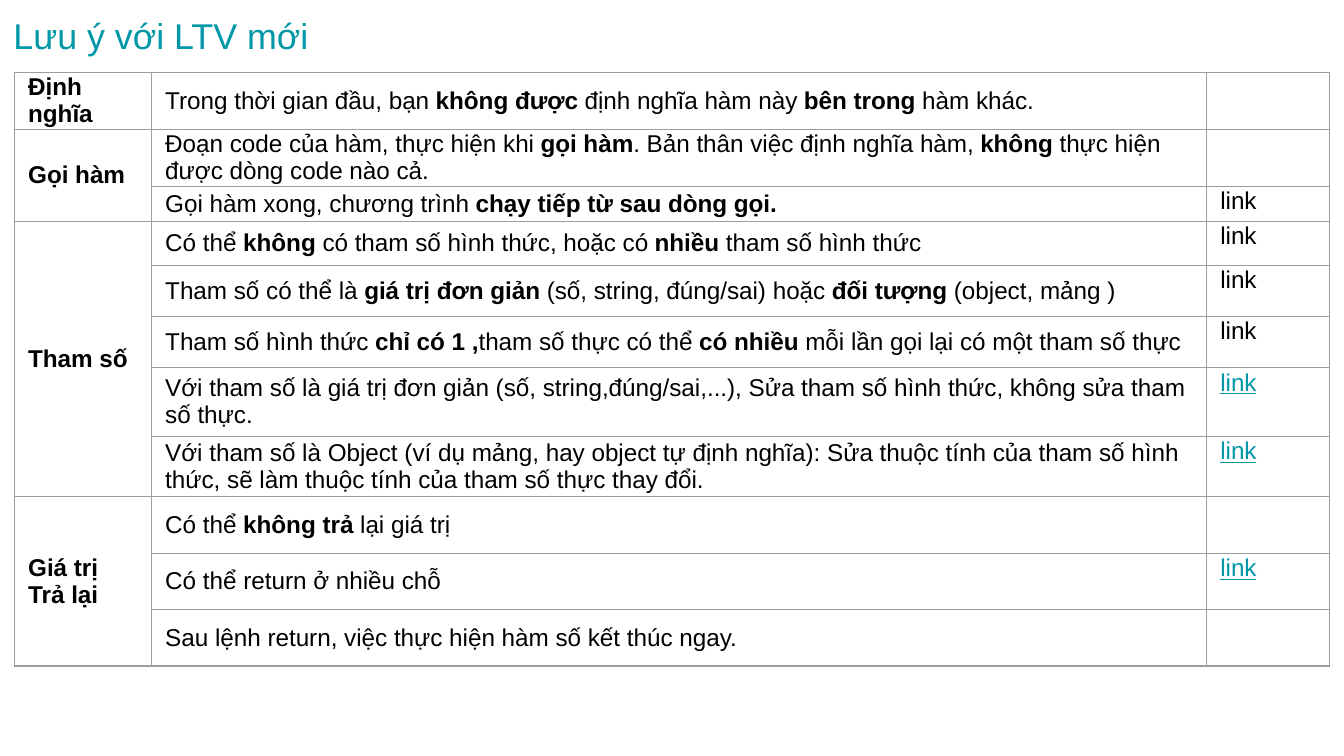
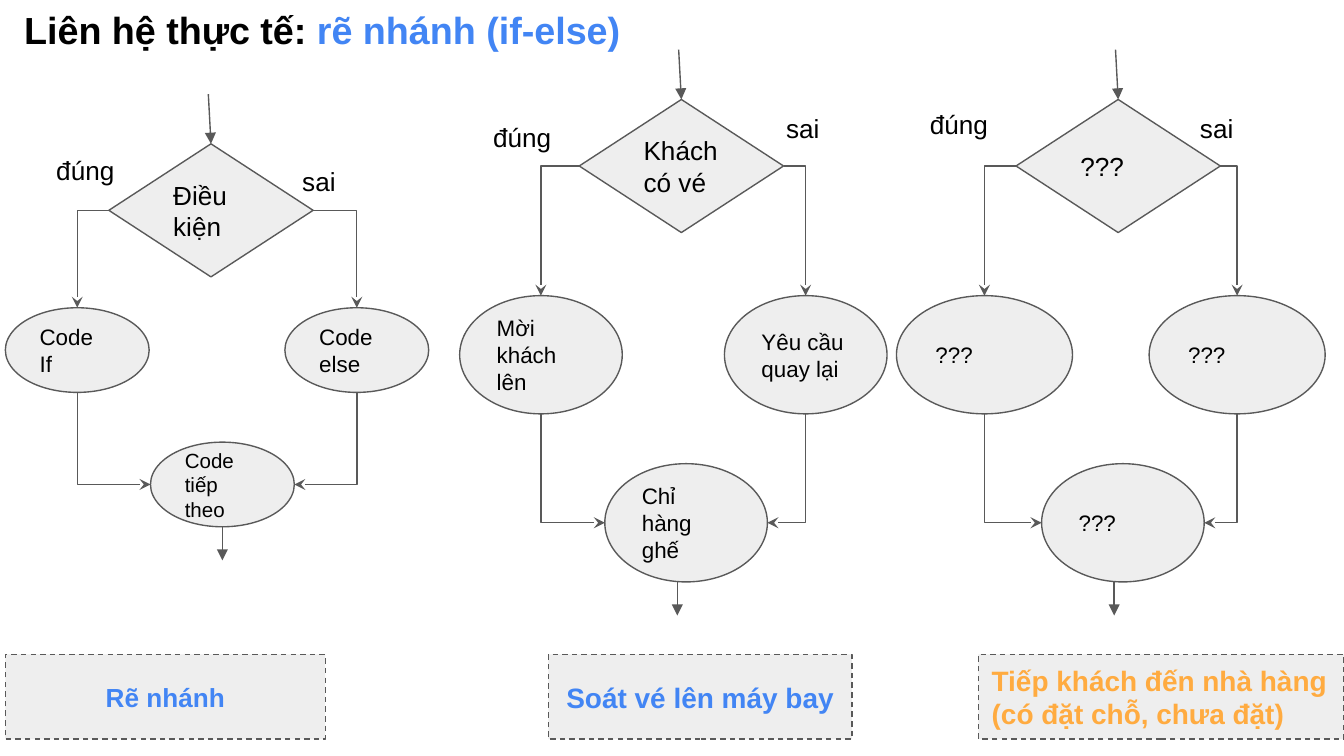
from lxml import etree
from pptx import Presentation
from pptx.dml.color import RGBColor
from pptx.enum.dml import MSO_LINE
from pptx.enum.shapes import MSO_CONNECTOR, MSO_SHAPE
from pptx.enum.text import MSO_ANCHOR, MSO_AUTO_SIZE, PP_ALIGN
from pptx.oxml.ns import qn
from pptx.util import Inches, Pt

DIAMOND, ELLIPSE, RECT = MSO_SHAPE.FLOWCHART_DECISION, MSO_SHAPE.OVAL, MSO_SHAPE.RECTANGLE
STRAIGHT, ELBOW = MSO_CONNECTOR.STRAIGHT, MSO_CONNECTOR.ELBOW
TOP, MIDDLE = MSO_ANCHOR.TOP, MSO_ANCHOR.MIDDLE
LEFT, CENTER = PP_ALIGN.LEFT, PP_ALIGN.CENTER
DASH = MSO_LINE.DASH
NO_FIT, GROW = MSO_AUTO_SIZE.NONE, MSO_AUTO_SIZE.SHAPE_TO_FIT_TEXT

PAGE_WIDTH = Inches(10)
PAGE_HEIGHT = PAGE_WIDTH * 9 // 16
FONT = "Arial"
BLACK, TEAL, BLUE, ORANGE = "000000", "0097A7", "4285F4", "FFAB40"
PALE, DARK, GRID = "EEEEEE", "595959", "9E9E9E"

COLUMNS = [1.02, 7.85, 0.91]
ROW_HEIGHTS = [0.36, 0.26, 0.26, 0.33, 0.38, 0.38, 0.51, 0.45, 0.42, 0.42, 0.42]
TOPICS = [("Định nghĩa", 1), ("Gọi hàm", 2), ("Tham số", 5), ("Giá trị Trả lại", 3)]
NOTES = [
    ("Trong thời gian đầu, bạn **không được **định nghĩa hàm này **bên trong** hàm khác.", None),
    ("Đoạn code của hàm, thực hiện khi **gọi hàm**. Bản thân việc định nghĩa hàm, "
     "**không** thực hiện được dòng code nào cả.", None),
    ("Gọi hàm xong, chương trình **chạy tiếp từ sau dòng gọi.**", BLACK),
    ("Có thể **không **có tham số hình thức, hoặc có **nhiều** tham số hình thức", BLACK),
    ("Tham số có thể là **giá trị đơn giản** (số, string, đúng/sai) hoặc "
     "**đối tượng** (object, mảng )", BLACK),
    ("Tham số hình thức **chỉ có 1 ,**tham số thực có thể **có nhiều **"
     "mỗi lần gọi lại có một tham số thực", BLACK),
    ("Với tham số là giá trị đơn giản (số, string,đúng/sai,...), "
     "Sửa tham số hình thức, không sửa tham số thực.", TEAL),
    ("Với tham số là Object (ví dụ mảng, hay object tự định nghĩa): Sửa thuộc tính của "
     "tham số hình thức, sẽ làm thuộc tính của tham số thực thay đổi.", TEAL),
    ("Có thể **không trả** lại giá trị", None),
    ("Có thể return ở nhiều chỗ", TEAL),
    ("Sau lệnh return, việc thực hiện hàm số kết thúc ngay.", None),
]

FLOWS = [
    {"box": (0.04, 1.07), "diamond": 0.77, "branch": (1.07, 0.63), "join": (1.07, 0.63),
     "right": 2.08, "branch_top": 1.22, "join_top": 2.22, "join_size": 11,
     "yes": (0.28, -0.02), "no": (2.11, 0.06),
     "texts": ["Điều kiện", "Code  If", "Code else", "Code tiếp theo"]},
    {"box": (3.42, 0.74), "diamond": 0.89, "branch": (1.21, 0.88), "join": (1.21, 0.88),
     "right": 1.97, "branch_top": 1.46, "join_top": 2.71, "join_size": 12,
     "yes": (0.15, 0.06), "no": (2.33, 0),
     "texts": ["Khách có vé", "Mời khách lên", "Yêu cầu quay lại", "Chỉ hàng ghế"]},
    {"box": (6.67, 0.74), "diamond": 0.89, "branch": (1.31, 0.88), "join": (1.21, 0.88),
     "right": 1.88, "branch_top": 1.46, "join_top": 2.71, "join_size": 12,
     "yes": (0.15, -0.03), "no": (2.16, 0),
     "texts": ["???"] * 4},
]
CAPTIONS = [
    (0.04, 2.38, "Rẽ nhánh", 14, BLUE, CENTER),
    (4.08, 2.26, "Soát vé lên máy bay", 15, BLUE, CENTER),
    (7.28, 2.72, "Tiếp khách đến nhà hàng (có đặt chỗ, chưa đặt)", 15, ORANGE, LEFT),
]


def rgb(value):
    """Turn a hex string into a colour."""
    return RGBColor.from_string(value)


def apply(target, formats):
    """Set each attribute named in formats on the target."""
    for name, value in formats.items():
        setattr(target, name, value)


def add_span(para, text, size, color=BLACK, bold=False, underline=False):
    """Append one formatted run to a paragraph."""
    span = para.add_run()
    span.text = text
    apply(span.font, {"name": FONT, "size": Pt(size), "bold": bold, "underline": underline})
    span.font.color.rgb = rgb(color)


def set_frame(frame, anchor=TOP, fit=NO_FIT, inset=0.1):
    """Format a text frame and return its first paragraph."""
    sides = ("left", "top", "right", "bottom")
    apply(frame, {f"margin_{side}": Inches(inset) for side in sides})
    apply(frame, {"word_wrap": True, "vertical_anchor": anchor, "auto_size": fit})
    para = frame.paragraphs[0]
    para.alignment = LEFT
    return para


def add_page(deck, box, size, spans, bold):
    """Add a title-only page whose title is made of coloured spans."""
    page = deck.slides.add_slide(deck.slide_layouts[5])
    title = page.shapes.title
    apply(title, dict(zip(("left", "top", "width", "height"), map(Inches, box))))
    para = set_frame(title.text_frame)
    for text, color in spans:
        add_span(para, text, size, color, bold)
    return page


def add_node(page, kind, box, text, size, color=BLACK, bold=False, align=LEFT, dash=None):
    """Add a pale outlined shape with text."""
    node = page.shapes.add_shape(kind, *map(Inches, box))
    node.shadow.inherit = False
    node.fill.solid()
    node.fill.fore_color.rgb = rgb(PALE)
    node.line.color.rgb = rgb(DARK)
    apply(node.line, {"width": Pt(0.75), "dash_style": dash})
    para = set_frame(node.text_frame, MIDDLE)
    para.alignment = align
    add_span(para, text, size, color, bold)
    return node


def add_label(page, left, top, text):
    """Add a branch label."""
    label = page.shapes.add_textbox(*map(Inches, (left, top, 0.71, 0.44)))
    add_span(set_frame(label.text_frame, fit=GROW), text, 14)


def add_arrow(page, kind, begin, end, head):
    """Add a connector ending in an arrowhead, from points in EMU."""
    arrow = page.shapes.add_connector(kind, *begin, *end)
    arrow.line.color.rgb = rgb(DARK)
    arrow.line.width = Pt(0.75)
    etree.SubElement(arrow.line._get_or_add_ln(), qn("a:tailEnd"), type=head)
    etree.SubElement(arrow.element.spPr, qn("a:effectLst"))
    return arrow


def add_corner(page, begin, end, down_first=False):
    """Add a one-corner arrow that leaves sideways or downwards."""
    arrow = add_arrow(page, ELBOW, begin, end, "stealth")
    properties = arrow.element.spPr
    properties.find(qn("a:prstGeom")).set("prst", "bentConnector2")
    if down_first:
        width, height = arrow.width, arrow.height
        shift = (width - height) // 2
        apply(arrow, {"left": arrow.left + shift, "top": arrow.top - shift,
                      "width": height, "height": width})
        rightward = end[0] > begin[0]
        frame = properties.find(qn("a:xfrm"))
        frame.set("rot", str((270 if rightward else 90) * 60000))
        frame.set("flipH", "1" if rightward else "0")


def side(node, index):
    """Give the middle of a side: 0 top, 1 left, 2 bottom, 3 right."""
    across, down = [(1, 0), (0, 1), (1, 2), (2, 1)][index]
    return node.left + node.width * across // 2, node.top + node.height * down // 2


def add_flow(page, flow):
    """Draw one if-else flowchart relative to its box."""
    left, top = flow["box"]
    texts = flow["texts"]
    test = add_node(page, DIAMOND, (left + flow["diamond"], top, 1.52, 0.99), texts[0], 14)
    branches = [add_node(page, ELLIPSE, (left + x, top + flow["branch_top"], *flow["branch"]),
                         text, 12)
                for x, text in zip((0, flow["right"]), texts[1:3])]
    join = add_node(page, ELLIPSE, (left + 1.08, top + flow["join_top"], *flow["join"]),
                    texts[3], flow["join_size"])
    for branch, index in zip(branches, (1, 3)):
        add_corner(page, side(test, index), side(branch, 0))
        add_corner(page, side(branch, 2), side(join, index), down_first=True)
    for key, text in (("yes", "đúng"), ("no", "sai")):
        add_label(page, left + flow[key][0], top + flow[key][1], text)
    x, y = side(test, 0)
    entry = add_arrow(page, STRAIGHT, (x - Inches(0.02), y - Inches(0.37)), (x, y), "triangle")
    entry.end_connect(test, 0)
    middle, bottom = side(join, 2)
    x = Inches(left + 1.62)
    leave = add_arrow(page, STRAIGHT, (x, bottom), (x, bottom + Inches(0.25)), "triangle")
    if abs(x - middle) < Inches(0.02):
        leave.begin_connect(join, 2)
        leave.end_x = middle


def format_cell(cell):
    """Give a cell its margins, thin grid borders and no fill."""
    apply(cell, {"margin_left": Inches(0.1), "margin_right": Inches(0.1),
                 "margin_top": Inches(0.01), "margin_bottom": Inches(0.01),
                 "vertical_anchor": MIDDLE})
    properties = cell._tc.get_or_add_tcPr()
    for edge in ("lnL", "lnR", "lnT", "lnB"):
        border = etree.SubElement(properties, qn(f"a:{edge}"), w=str(Pt(0.75)))
        fill = etree.SubElement(border, qn("a:solidFill"))
        etree.SubElement(fill, qn("a:srgbClr"), val=GRID)
    cell.fill.background()


def add_notes_table(page, left, top):
    """Add the table of notes with merged topics and a link column."""
    frame = page.shapes.add_table(len(NOTES), len(COLUMNS), *map(
        Inches, (left, top, sum(COLUMNS), sum(ROW_HEIGHTS))))
    table = frame.table
    apply(table, {"first_row": False, "horz_banding": False})
    for column, width in zip(table.columns, COLUMNS):
        column.width = Inches(width)
    for row, height in zip(table.rows, ROW_HEIGHTS):
        row.height = Inches(height)
    for cell in table.iter_cells():
        format_cell(cell)
    for index, (note, link) in enumerate(NOTES):
        para = table.cell(index, 1).text_frame.paragraphs[0]
        for order, text in enumerate(note.split("**")):
            if text:
                add_span(para, text, 13, bold=order % 2 == 1)
        if link:
            cell = table.cell(index, 2)
            cell.vertical_anchor = TOP
            add_span(cell.text_frame.paragraphs[0], "link", 13, link, underline=link == TEAL)
    start = 0
    for topic, count in TOPICS:
        cell = table.cell(start, 0)
        if count > 1:
            cell.merge(table.cell(start + count - 1, 0))
        add_span(cell.text_frame.paragraphs[0], topic, 13, bold=True)
        start += count
    table.cell(0, 0).vertical_anchor = TOP
    for cell in table.iter_cells():
        para = cell.text_frame.paragraphs[0]
        if not para.runs:
            etree.SubElement(para._p, qn("a:endParaRPr"), sz="1300")


def build_notes(deck):
    """Build the page of notes for new programmers."""
    page = add_page(deck, (0, 0, 9.32, 0.63), 19.2, [("Lưu ý với LTV mới", TEAL)], False)
    add_notes_table(page, 0.11, 0.54)


def build_branching(deck):
    """Build the page that compares three branching flowcharts."""
    spans = [("Liên hệ thực tế:", BLACK), (" rẽ nhánh (if-else)", BLUE)]
    page = add_page(deck, (0.08, -0.05, 4.8, 0.63), 20.2, spans, True)
    for flow in FLOWS:
        add_flow(page, flow)
    for left, width, text, size, color, align in CAPTIONS:
        add_node(page, RECT, (left, 4.87, width, 0.63), text, size, color, True, align, DASH)


def main():
    """Build and save the deck."""
    deck = Presentation()
    apply(deck, {"slide_width": PAGE_WIDTH, "slide_height": PAGE_HEIGHT})
    build_notes(deck)
    build_branching(deck)
    deck.save("out.pptx")


if __name__ == "__main__":
    main()
